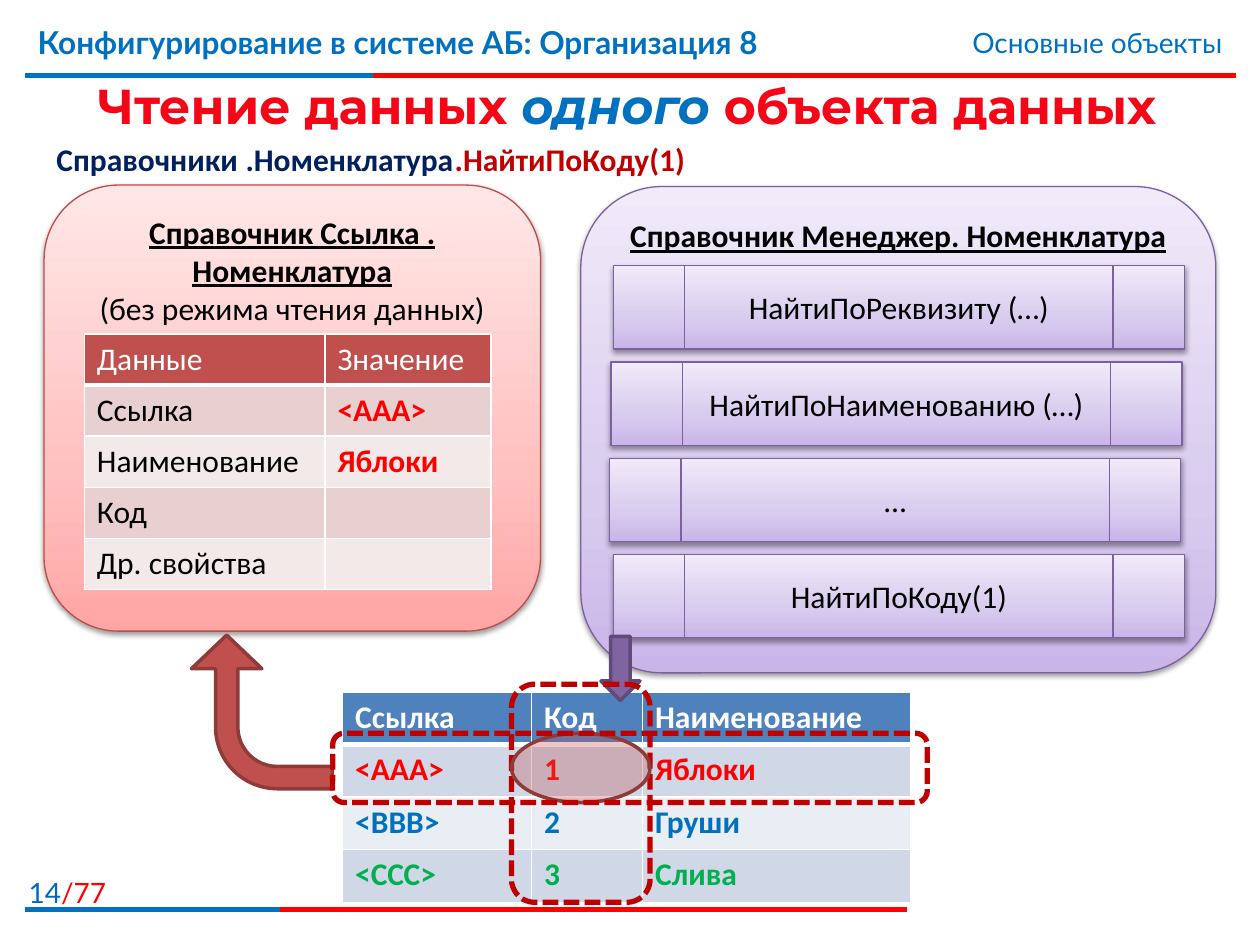
from dataclasses import dataclass

import pptx
import pptx.dml.color
import pptx.enum.dml
import pptx.enum.shapes
import pptx.enum.text
import pptx.oxml
import pptx.oxml.ns
import pptx.util
from lxml import etree

Pt = pptx.util.Pt
RGBColor = pptx.dml.color.RGBColor
Align = pptx.enum.text.PP_ALIGN
Anchor = pptx.enum.text.MSO_ANCHOR
Kind = pptx.enum.shapes.MSO_SHAPE
qn = pptx.oxml.ns.qn

WHITE = RGBColor(0xFF, 0xFF, 0xFF)
BLACK = RGBColor(0, 0, 0)
RED = RGBColor(0xFF, 0, 0)
TITLE_RED = RGBColor(0xF5, 0x05, 0x16)
DARK_RED = RGBColor(0xC0, 0, 0)
BLUE = RGBColor(0x00, 0x70, 0xC0)
PAGE_BLUE = RGBColor(0x00, 0x66, 0xCC)
NAVY = RGBColor(0x00, 0x20, 0x60)
GREEN = RGBColor(0x00, 0xB0, 0x50)
BRICK = RGBColor(0xC0, 0x50, 0x4D)
BRICK_EDGE = RGBColor(0x8E, 0x3B, 0x39)
PURPLE = RGBColor(0x80, 0x64, 0xA2)
PURPLE_EDGE = RGBColor(0x5F, 0x4A, 0x78)
TABLE_BLUE = RGBColor(0x4F, 0x81, 0xBD)
BLUE_BANDS = (RGBColor(0xD0, 0xD8, 0xE8), RGBColor(0xE9, 0xED, 0xF4))
BRICK_BANDS = (RGBColor(0xE8, 0xD0, 0xD0), RGBColor(0xF4, 0xE9, 0xE9))


@dataclass(frozen=True)
class Box:
    left: float
    top: float
    width: float
    height: float

    def lengths(self) -> tuple:
        return Pt(self.left), Pt(self.top), Pt(self.width), Pt(self.height)


@dataclass(frozen=True)
class Run:
    text: str
    color: RGBColor = BLACK
    bold: bool = False
    italic: bool = False
    underline: bool = False
    size: float = 18
    font: str = "Calibri"


@dataclass(frozen=True)
class CardStyle:
    stops: tuple
    edge: RGBColor


PINK_CARD = CardStyle(((0, "FFA6A5"), (35, "FFC0BF"), (100, "FFE7E7")), RGBColor(0xBF, 0x4C, 0x48))
LILAC_CARD = CardStyle(((0, "C9B5E8"), (35, "D8CBEE"), (100, "F0EAF9")), RGBColor(0x7D, 0x60, 0xA0))


def add_runs(paragraph, runs: list[Run], align=Align.LEFT) -> None:
    paragraph.alignment = align
    for item in runs:
        run = paragraph.add_run()
        run.text = item.text
        font = run.font
        font.name, font.size = item.font, Pt(item.size)
        font.bold, font.italic, font.underline = item.bold, item.italic, item.underline
        font.color.rgb = item.color


def add_text(slide, box: Box, runs: list[Run], align=Align.LEFT) -> None:
    frame = slide.shapes.add_textbox(*box.lengths()).text_frame
    frame.word_wrap = True
    add_runs(frame.paragraphs[0], runs, align)


def add_rule(slide, top: float, right: float, color: RGBColor) -> None:
    line = slide.shapes.add_connector(
        pptx.enum.shapes.MSO_CONNECTOR.STRAIGHT, Pt(14.4), Pt(top), Pt(right), Pt(top))
    line.line.color.rgb = color
    line.line.width = Pt(3)
    etree.SubElement(line._element.spPr, qn("a:effectLst"))


def add_outlined(slide, kind, box: Box, edge: RGBColor, width: float, fill: RGBColor | None = None):
    shape = slide.shapes.add_shape(kind, *box.lengths())
    shape.shadow.inherit = False
    shape.line.color.rgb = edge
    shape.line.width = Pt(width)
    if fill is None:
        shape.fill.background()
    else:
        shape.fill.solid()
        shape.fill.fore_color.rgb = fill
    return shape


def add_card(slide, kind, box: Box, style: CardStyle, paragraphs: list[list[Run]], anchor) -> None:
    """Add a shape with a vertical gradient, a soft shadow and centred text."""
    shape = add_outlined(slide, kind, box, style.edge, 0.75)
    properties = shape._element.spPr
    properties.remove(properties.find(qn("a:noFill")))
    stops = "".join(f'<a:gs pos="{position * 1000}"><a:srgbClr val="{color}"/></a:gs>'
                    for position, color in style.stops)
    namespace = pptx.oxml.ns.nsdecls("a")
    properties.find(qn("a:prstGeom")).addnext(pptx.oxml.parse_xml(
        f'<a:gradFill {namespace} rotWithShape="1"><a:gsLst>{stops}</a:gsLst>'
        '<a:lin ang="16200000" scaled="1"/></a:gradFill>'))
    properties.find(qn("a:effectLst")).append(pptx.oxml.parse_xml(
        f'<a:outerShdw {namespace} blurRad="{Pt(3.1)}" dist="{Pt(1.6)}" dir="5400000" rotWithShape="0">'
        '<a:srgbClr val="000000"><a:alpha val="38000"/></a:srgbClr></a:outerShdw>'))
    frame = shape.text_frame
    frame.word_wrap = True
    frame.vertical_anchor = anchor
    for index, runs in enumerate(paragraphs):
        paragraph = frame.add_paragraph() if index else frame.paragraphs[0]
        add_runs(paragraph, runs, Align.CENTER)


def set_borders(cell, bottom: float) -> None:
    properties = cell._tc.get_or_add_tcPr()
    for index, (side, width) in enumerate((("L", 1), ("R", 1), ("T", 1), ("B", bottom))):
        properties.insert(index, pptx.oxml.parse_xml(
            f'<a:ln{side} {pptx.oxml.ns.nsdecls("a")} w="{Pt(width)}">'
            f'<a:solidFill><a:srgbClr val="{WHITE}"/></a:solidFill></a:ln{side}>'))


def add_table(slide, left: float, top: float, widths: list[float], row_height: float,
              rows: list[list[Run | None]], header: RGBColor, bands: tuple) -> None:
    box = Box(left, top, sum(widths), row_height * len(rows))
    table = slide.shapes.add_table(len(rows), len(widths), *box.lengths()).table
    for column, width in zip(table.columns, widths):
        column.width = Pt(width)
    for row_index, row in enumerate(rows):
        table.rows[row_index].height = Pt(row_height)
        for column_index, run in enumerate(row):
            cell = table.cell(row_index, column_index)
            cell.fill.solid()
            cell.fill.fore_color.rgb = bands[(row_index - 1) % 2] if row_index else header
            set_borders(cell, 1 if row_index else 3)
            if run:
                add_runs(cell.text_frame.paragraphs[0], [run])


def main() -> None:
    presentation = pptx.Presentation()
    presentation.slide_width, presentation.slide_height = Pt(720), Pt(540)
    slide = presentation.slides.add_slide(presentation.slide_layouts[6])

    for top, red_end, blue_end in ((43.2, 706.3, 213.1), (519.8, 518.4, 159.8)):
        add_rule(slide, top, red_end, RED)
        add_rule(slide, top, blue_end, BLUE)
    add_text(slide, Box(0, 496.8, 67.7, 23),
             [Run("14", PAGE_BLUE, size=16, font="Lato"), Run("/77", RED, size=16, font="Lato")], Align.RIGHT)
    add_text(slide, Box(14.4, 9.4, 532.8, 44.6),
             [Run("Конфигурирование в системе АБ: Организация 8", BLUE, bold=True, font="Lato")])
    add_text(slide, Box(427.7, 10.8, 277.9, 26.6),
             [Run("Основные объекты", BLUE, size=16, font="Lato")], Align.RIGHT)
    add_text(slide, Box(12.2, 39.6, 691.9, 43.2), [
        Run("Чтение данных ", TITLE_RED, True, size=28, font="Montserrat"),
        Run("одного ", BLUE, True, True, size=28, font="Montserrat"),
        Run("объекта данных", TITLE_RED, True, size=28, font="Montserrat")], Align.CENTER)

    records = [[Run(text, WHITE, True) for text in ("Ссылка", "Код", "Наименование")]]
    for color, texts in ((RED, ("<ААА>", "1", "Яблоки")), (BLUE, ("<ВВВ>", "2", "Груши")),
                         (GREEN, ("<ССС>", "3", "Слива"))):
        records.append([Run(text, color, True) for text in texts])
    add_table(slide, 195.8, 395.3, [108, 63.4, 153.4], 30.1, records, TABLE_BLUE, BLUE_BANDS)

    add_card(slide, Kind.ROUNDED_RECTANGLE, Box(25.2, 105.8, 283.7, 254.9), PINK_CARD,
             [[Run("Справочник Ссылка . Номенклатура", bold=True, underline=True)],
              [Run("(без режима чтения данных)")]], Anchor.TOP)
    reference = [
        [Run("Данные", WHITE), Run("Значение", WHITE)],
        [Run("Ссылка"), Run("<ААА>", RED, True)],
        [Run("Наименование"), Run("Яблоки", RED, True)],
        [Run("Код"), None],
        [Run("Др. свойства"), None]]
    add_table(slide, 48.2, 190.8, [137.5, 95], 29.25, reference, BRICK, BRICK_BANDS)

    add_card(slide, Kind.ROUNDED_RECTANGLE, Box(331.9, 106.6, 362.9, 277.9), LILAC_CARD,
             [[Run("Справочник Менеджер. Номенклатура", bold=True, underline=True)]], Anchor.TOP)
    methods = (("НайтиПоРеквизиту (…)", 350.6), ("НайтиПоНаименованию (…)", 349.2),
               ("…", 348.5), ("НайтиПоКоду(1)", 350.6))
    for index, (method, left) in enumerate(methods):
        add_card(slide, Kind.FLOWCHART_PREDEFINED_PROCESS, Box(left, 151.9 + 55 * index, 326.2, 47.5),
                 LILAC_CARD, [[Run(method)]], Anchor.MIDDLE)

    add_outlined(slide, Kind.DOWN_ARROW, Box(343.4, 363.6, 22.3, 36.7), PURPLE_EDGE, 2, PURPLE)
    code_column = add_outlined(slide, Kind.ROUNDED_RECTANGLE, Box(292.3, 391, 79.2, 124.6), DARK_RED, 3)
    found_code = add_outlined(slide, Kind.OVAL, Box(292.3, 419, 79.2, 39.6), BRICK_EDGE, 2, BRICK)
    fill_color = found_code._element.spPr.find(qn("a:solidFill")).find(qn("a:srgbClr"))
    etree.SubElement(fill_color, qn("a:alpha"), val="31000")
    result_arrow = add_outlined(slide, Kind.BENT_ARROW, Box(105.8, 366.5, 87.8, 80.6), BRICK_EDGE, 2, BRICK)
    result_arrow.rotation = 270
    for index, value in enumerate((0.158, 0.25, 0.238, 0.438)):
        result_arrow.adjustments[index] = value
    found_row = add_outlined(slide, Kind.ROUNDED_RECTANGLE, Box(190.1, 419, 339.8, 39.6), DARK_RED, 3)
    for frame in (code_column, found_row):
        frame.line.dash_style = pptx.enum.dml.MSO_LINE.SQUARE_DOT

    for text, left, width, color in (("Справочники", 25.2, 136, NAVY), (".Номенклатура", 133.2, 181.4, NAVY),
                                     (".НайтиПоКоду(1)", 252.7, 215.3, DARK_RED)):
        add_text(slide, Box(left, 76.3, width, 28.8), [Run(text, color, True)])

    presentation.save("out.pptx")


if __name__ == "__main__":
    main()
